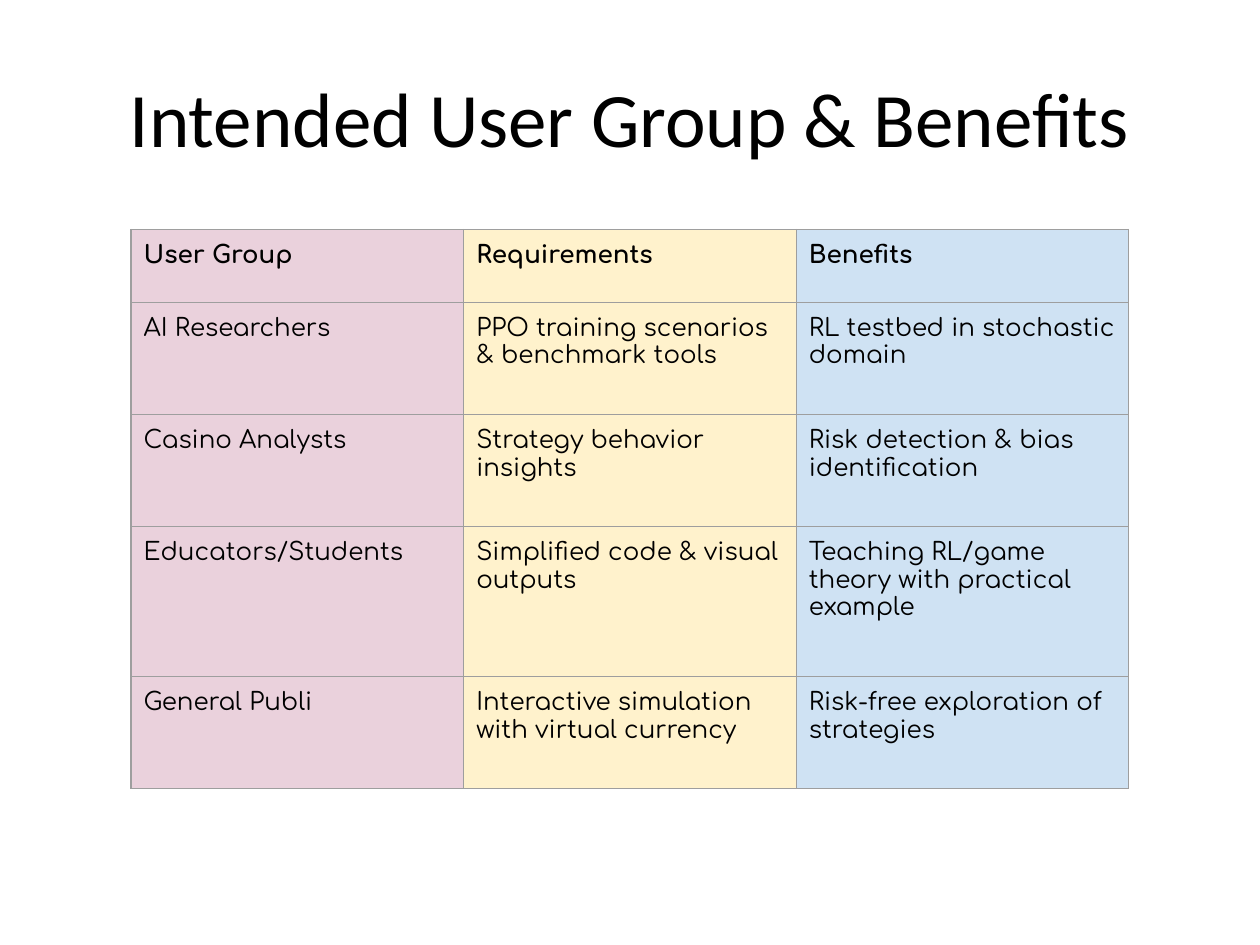
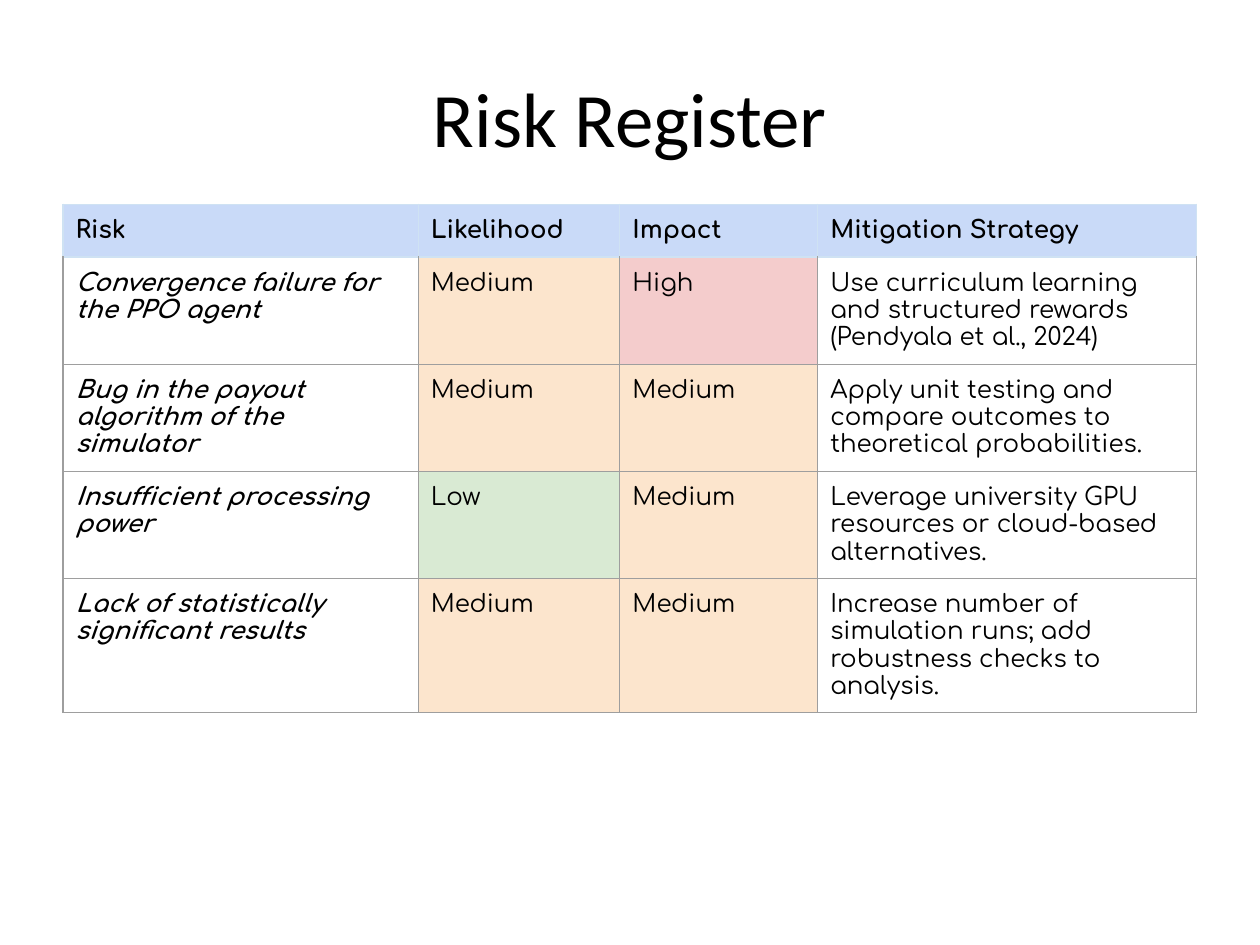
from lxml.etree import SubElement
from pptx import Presentation
from pptx.dml.color import RGBColor
from pptx.enum.text import MSO_ANCHOR as Anchor, PP_ALIGN as Align
from pptx.oxml.ns import qn
from pptx.util import Inches, Pt

# Shared style
INK = "000000"
GRID_LINE = "9E9E9E"
PALE_LINE = "CFE2F3"
HEADER_BLUE = "C9DAF8"
GROUP_FILLS = ["EAD1DC", "FFF2CC", "CFE2F3"]
RATING_FILLS = {"Low": "D9EAD3", "Medium": "FCE5CD", "High": "F4CCCC"}
TITLE_FONT, TABLE_FONT = "Calibri", "Comfortaa"
TITLE_LAYOUT = 5
GRID_COLUMNS, GRID_ROWS = 100, 75


def color(code):
    return RGBColor.from_string(code)


def write(frame, text, font=TABLE_FONT, size=14, bold=False, italic=False,
          align=Align.LEFT, anchor=Anchor.TOP):
    frame.vertical_anchor = anchor
    para = frame.paragraphs[0]
    para.alignment = align
    span = para.add_run()
    span.text = text
    span.font.name = font
    span.font.size = Pt(size)
    span.font.bold = bold
    span.font.italic = italic
    span.font.color.rgb = color(INK)


def set_borders(cell, **lines):
    """Draw the cell's borders, given as side=colour for L, R, T and B."""
    properties = cell._tc.get_or_add_tcPr()
    for side in "LRTB":
        line = SubElement(properties, qn(f"a:ln{side}"), w=str(Pt(0.75)))
        fill = SubElement(line, qn("a:solidFill"))
        SubElement(fill, qn("a:srgbClr"), val=lines[side])


class Deck:
    def __init__(self):
        self.show = Presentation()
        self.show.slide_width, self.show.slide_height = Inches(10), Inches(7.5)
        self.page = None

    def x(self, columns):
        return round(self.show.slide_width * columns / GRID_COLUMNS)

    def y(self, rows):
        return round(self.show.slide_height * rows / GRID_ROWS)

    def add_page(self, title):
        self.page = self.show.slides.add_slide(self.show.slide_layouts[TITLE_LAYOUT])
        self.page.background.fill.solid()
        self.page.background.fill.fore_color.rgb = color("FFFFFF")
        write(self.page.shapes.title.text_frame, title, font=TITLE_FONT, size=44,
              align=Align.CENTER, anchor=Anchor.MIDDLE)

    def add_table(self, left, top, widths, heights, records, style):
        """Place a table; style(row, column, text) gives fill, italic and bold."""
        frame = self.page.shapes.add_table(
            len(heights), len(widths), self.x(left), self.y(top),
            self.x(sum(widths)), self.y(sum(heights)))
        table = frame.table
        table.first_row = table.horz_banding = False
        for column, width in zip(table.columns, widths):
            column.width = self.x(width)
        for row, height in zip(table.rows, heights):
            row.height = self.y(height)
        for row, record in enumerate(records):
            for column, text in enumerate(record):
                self.fill_cell(table.cell(row, column), text,
                               **style(row, column, text))

    def fill_cell(self, cell, text, fill=None, top_line=GRID_LINE,
                  line=GRID_LINE, **text_format):
        cell.margin_left = cell.margin_right = self.x(1)
        cell.margin_top = cell.margin_bottom = self.y(1)
        set_borders(cell, L=line, R=line, T=top_line, B=line)
        if fill:
            cell.fill.solid()
            cell.fill.fore_color.rgb = color(fill)
        else:
            cell.fill.background()
        write(cell.text_frame, text, **text_format)


def group_style(row, column, text):
    return {"fill": GROUP_FILLS[column], "bold": row == 0}


def risk_style(row, column, text):
    if row == 0:
        return {"fill": HEADER_BLUE, "bold": True,
                "line": PALE_LINE, "top_line": PALE_LINE}
    return {"fill": RATING_FILLS.get(text), "bold": column == 0,
            "italic": column == 0,
            "top_line": PALE_LINE if row == 1 else GRID_LINE}


USER_GROUPS = [
    ("User Group", "Requirements", "Benefits"),
    ("AI Researchers", "PPO training scenarios & benchmark tools",
     "RL testbed in stochastic domain"),
    ("Casino Analysts", "Strategy behavior insights",
     "Risk detection & bias identification"),
    ("Educators/Students", "Simplified code & visual outputs",
     "Teaching RL/game theory with practical example"),
    ("General Publi", "Interactive simulation with virtual currency",
     "Risk-free exploration of strategies"),
]

RISKS = [
    ("Risk", "Likelihood", "Impact", "Mitigation Strategy"),
    ("Convergence failure for the PPO agent", "Medium", "High",
     "Use curriculum learning and structured rewards (Pendyala et al., 2024)"),
    ("Bug in the payout algorithm of the simulator", "Medium", "Medium",
     "Apply unit testing and compare outcomes to theoretical probabilities."),
    ("Insufficient processing power", "Low", "Medium",
     "Leverage university GPU resources or cloud-based alternatives."),
    ("Lack of statistically significant results", "Medium", "Medium",
     "Increase number of simulation runs; add robustness checks to analysis."),
]


def main():
    deck = Deck()

    # User groups
    deck.add_page("Intended User Group & Benefits")
    deck.add_table(10.4, 18.2, [26.4] * 3, [5.8, 8.9, 8.9, 11.9, 8.9],
                   USER_GROUPS, group_style)

    # Risks: rows grow to fit their text
    deck.add_page("Risk Register")
    deck.add_table(5, 16.2, [28.2, 16, 15.7, 30.1], [4.2] * len(RISKS),
                   RISKS, risk_style)

    deck.show.save("out.pptx")


if __name__ == "__main__":
    main()
